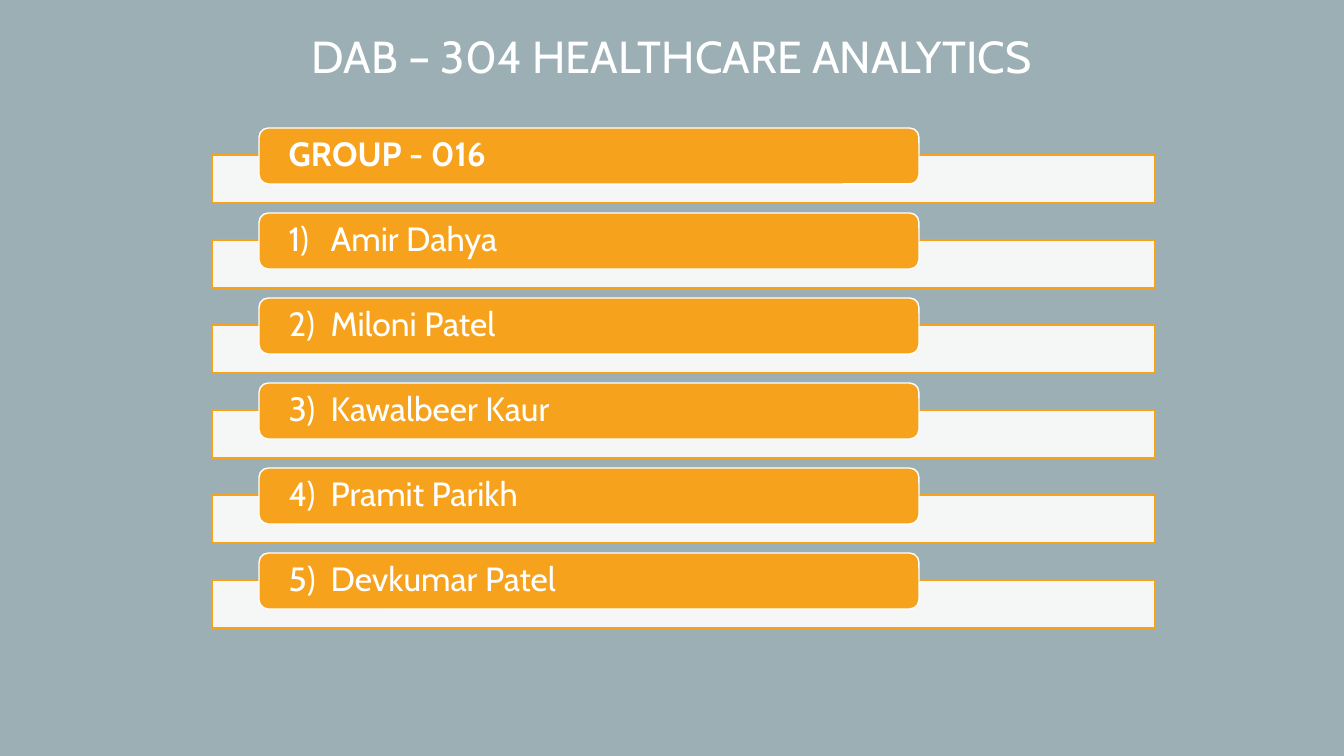
from pptx import Presentation
from pptx.dml.color import RGBColor
from pptx.enum.shapes import MSO_SHAPE
from pptx.enum.text import MSO_ANCHOR, PP_ALIGN
from pptx.oxml.ns import qn
from pptx.util import Emu, Pt
from lxml import etree

COLORS = {"background": "9BAFB5", "orange": "F6A21D", "white": "FFFFFF"}
PX = 914400 / 100.8
ROW_PITCH = 85
NAME_INDENT = 42
MEMBERS = ["Amir Dahya", "Miloni Patel", "Kawalbeer Kaur", "Pramit Parikh", "Devkumar Patel"]


def px(length):
    return Emu(round(length * PX))


def add_text(paragraph, text, size, bold=False):
    run = paragraph.add_run()
    run.text = text
    run.font.name = "Cabin"
    run.font.size = Pt(size)
    run.font.bold = bold
    run.font.color.rgb = RGBColor.from_string(COLORS["white"])


prs = Presentation()
prs.slide_width, prs.slide_height = px(1344), px(756)
slide = prs.slides.add_slide(prs.slide_layouts[6])
slide.background.fill.solid()
slide.background.fill.fore_color.rgb = RGBColor.from_string(COLORS["background"])

course_title = slide.shapes.add_textbox(px(141), px(24), px(1062), px(53))
course_title.text_frame.word_wrap = True
course_title.text_frame.paragraphs[0].alignment = PP_ALIGN.CENTER
add_text(course_title.text_frame.paragraphs[0], "DAB – 304 HEALTHCARE ANALYTICS", 32)

labels = ["GROUP - 016"] + [f"{number})\t{name}" for number, name in enumerate(MEMBERS, 1)]

for row, label in enumerate(labels):
    top = 128 + row * ROW_PITCH
    band = slide.shapes.add_shape(MSO_SHAPE.RECTANGLE, px(212), px(top + 27), px(943), px(48))
    tab = slide.shapes.add_shape(MSO_SHAPE.ROUNDED_RECTANGLE, px(259), px(top), px(660), px(56))
    for shape, fill, line in ((band, "white", "orange"), (tab, "orange", "white")):
        shape.shadow.inherit = False
        shape.fill.solid()
        shape.fill.fore_color.rgb = RGBColor.from_string(COLORS[fill])
        shape.line.color.rgb = RGBColor.from_string(COLORS[line])
        shape.line.width = Pt(1)
    band_color = band.fill._xPr.find(qn("a:solidFill")).find(qn("a:srgbClr"))
    etree.SubElement(band_color, qn("a:alpha")).set("val", "90000")

    frame = tab.text_frame
    frame.word_wrap = True
    frame.vertical_anchor = MSO_ANCHOR.MIDDLE
    frame.margin_left = frame.margin_right = px(27)
    frame.margin_top = frame.margin_bottom = 0
    paragraph = frame.paragraphs[0]
    paragraph.alignment = PP_ALIGN.LEFT
    paragraph.line_spacing = 0.9
    if row:
        properties = paragraph._p.get_or_add_pPr()
        properties.set("marL", str(px(NAME_INDENT)))
        properties.set("indent", str(-px(NAME_INDENT)))
    add_text(paragraph, label, 24, bold=row == 0)

prs.save("out.pptx")
